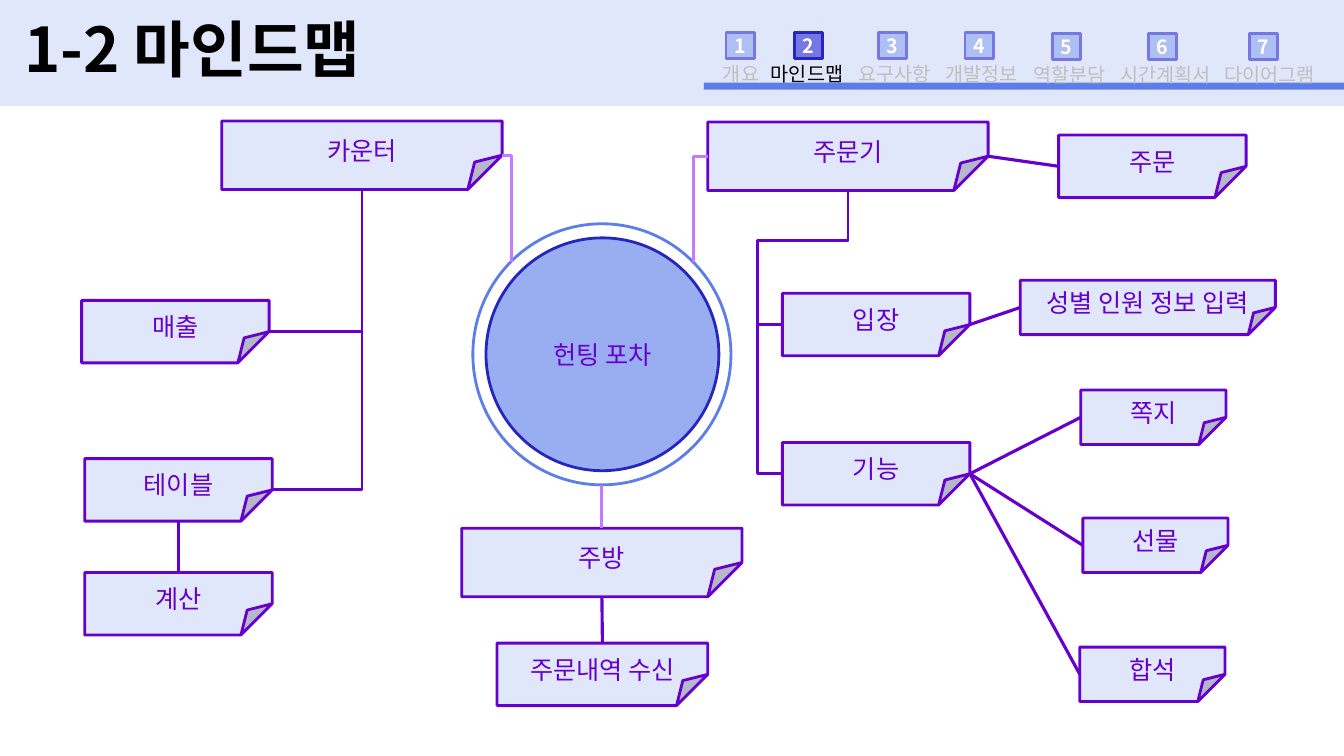
from pptx import Presentation
from pptx.dml.color import RGBColor
from pptx.enum.shapes import MSO_CONNECTOR as Link, MSO_SHAPE as Preset
from pptx.enum.text import MSO_ANCHOR as Anchor, PP_ALIGN as Align
from pptx.oxml.ns import qn
from pptx.util import Pt
from lxml import etree

PX = 9144  # 100 px to the inch
FONT = "Noto Sans CJK KR"
BLACK, WHITE = RGBColor(0, 0, 0), RGBColor(255, 255, 255)
PALE, SOFT = RGBColor(0xE1, 0xE7, 0xFB), RGBColor(0xAE, 0xBF, 0xF4)
SKY, BLUE = RGBColor(0x99, 0xAE, 0xF1), RGBColor(0x5D, 0x7E, 0xE9)
NAVY, IRIS = RGBColor(0x26, 0x26, 0xBF), RGBColor(0x77, 0x77, 0xE3)
PURPLE, VIOLET = RGBColor(0x66, 0, 0xCC), RGBColor(0xC5, 0x7B, 0xFD)
GRAY = RGBColor(0xBF, 0xBF, 0xBF)

# Content
TITLE = "1-2 마인드맵"
CENTER = "헌팅 포차"
ACTIVE_STEP = 2
STEPS = [  # label, label left, label width, number left, number top
    ("개요", 702, 66, 720, 32),
    ("마인드맵", 747, 107, 788, 32),
    ("요구사항", 834, 107, 871, 32),
    ("개발정보", 920, 107, 957, 32),
    ("역할분담", 1007, 107, 1044, 33),
    ("시간계획서", 1094, 124, 1139, 33),
    ("다이어그램", 1197, 124, 1239, 33),
]
BIG, MEDIUM, SMALL = (278, 68), (186, 62), (144, 54)
TOPICS = {  # label: left, top, (width, height)
    "카운터": (220, 120, BIG),
    "주문기": (702, 121, BIG),
    "주방": (458, 524, BIG),
    "매출": (81, 298, MEDIUM),
    "테이블": (84, 455, MEDIUM),
    "계산": (84, 568, MEDIUM),
    "주문": (1050, 134, MEDIUM),
    "입장": (776, 291, MEDIUM),
    "기능": (776, 439, MEDIUM),
    "주문내역 수신": (493, 638, (209, 62)),
    "성별 인원 정보 입력": (1012, 278, (253, 54)),
    "쪽지": (1072, 387, SMALL),
    "선물": (1074, 514, SMALL),
    "합석": (1071, 642, SMALL),
}
TOP, LEFT, BOTTOM, RIGHT = range(4)
STRAIGHT = [
    ("테이블", BOTTOM, "계산", TOP),
    ("주방", BOTTOM, "주문내역 수신", TOP),
    ("주문기", RIGHT, "주문", LEFT),
    ("입장", RIGHT, "성별 인원 정보 입력", LEFT),
    ("기능", RIGHT, "쪽지", LEFT),
    ("기능", RIGHT, "선물", LEFT),
    ("기능", RIGHT, "합석", LEFT),
]
RING = (469, 222, 256, 259)
DISC = (482, 236, 231, 231)
RING_LEFT, RING_RIGHT = (507, 260), (688, 260)  # where the bent links meet the ring
TRUNK_X, TRUNK_Y = 751, 239

prs = Presentation()
prs.slide_width, prs.slide_height = 1333 * PX, 750 * PX
slide = prs.slides.add_slide(prs.slide_layouts[6])
shapes = slide.shapes


def write(shape, text, size, color, bold=False, align=Align.CENTER, **frame_format):
    frame = shape.text_frame
    for key, value in {"word_wrap": True, "vertical_anchor": Anchor.MIDDLE, **frame_format}.items():
        setattr(frame, key, value)
    paragraph = frame.paragraphs[0]
    paragraph.alignment = align
    run = paragraph.add_run()
    run.text = text
    for key, value in {"name": FONT, "size": Pt(size), "bold": bold}.items():
        setattr(run.font, key, value)
    run.font.color.rgb = color
    for tag in ("a:ea", "a:cs"):
        etree.SubElement(run.font._element, qn(tag), typeface=FONT)


def reshape(shape, preset, **guides):
    """Set the preset geometry and its adjustments, given as shares of 1."""
    geometry = shape._element.spPr.find(qn("a:prstGeom"))
    geometry.set("prst", preset)
    for name, share in guides.items():
        etree.SubElement(geometry.find(qn("a:avLst")), qn("a:gd"),
                         name=name, fmla=f"val {round(share * 100000)}")


def draw(preset, box, fill=None, line=None):
    shape = shapes.add_shape(preset, *(n * PX for n in box))
    shape.shadow.inherit = False
    if fill is None:
        shape.fill.background()
    else:
        shape.fill.solid()
        shape.fill.fore_color.rgb = fill
    if line is None:
        shape.line.fill.background()
    else:
        shape.line.color.rgb = line
        shape.line.width = Pt(2)
    return shape


def connect(begin, end, color=PURPLE, width=2.25, kind=Link.STRAIGHT):
    link = shapes.add_connector(kind, *(round(n * PX) for n in (*begin, *end)))
    link.line.color.rgb = color
    link.line.width = Pt(width)
    etree.SubElement(link._element.spPr, qn("a:effectLst"))
    return link


def bend(begin, end, color=PURPLE, **guides):
    """Leave begin sideways and reach end vertically."""
    link = connect(begin, end, color, 2, Link.ELBOW)
    reshape(link, "bentConnector4" if guides else "bentConnector2", **guides)


def side(topic, site):
    left, top, (width, height) = TOPICS[topic]
    across, down = {TOP: (0.5, 0), LEFT: (0, 0.5), BOTTOM: (0.5, 1), RIGHT: (1, 0.5)}[site]
    return left + across * width, top + down * height


# Title band
band = draw(Preset.RECTANGLE, (0, 0, 1333, 105), PALE)
write(band, TITLE, 44, BLACK, True, Align.LEFT, margin_left=24 * PX)
band.text_frame.paragraphs[0].line_spacing = 0.9

# Central topic
write(draw(Preset.OVAL, DISC, SKY, NAVY), CENTER, 18, PURPLE)
draw(Preset.OVAL, RING, line=BLUE)

# Topic notes: the text starts so that its line sits at mid-height
notes = {}
for topic, (left, top, (width, height)) in TOPICS.items():
    note = draw(Preset.RECTANGLE, (left, top, width, height), PALE, PURPLE)
    reshape(note, "foldedCorner", adj=0.5)
    write(note, topic, 18, PURPLE, vertical_anchor=Anchor.TOP,
          margin_top=(height // 2 - 20) * PX, margin_bottom=0)
    notes[topic] = note

# Straight links
for source, source_site, target, target_site in STRAIGHT:
    link = connect(side(source, source_site), side(target, target_site))
    link.begin_connect(notes[source], source_site)
    link.end_connect(notes[target], target_site)
ring_bottom = (RING[0] + RING[2] / 2, RING[1] + RING[3])
connect(ring_bottom, side("주방", TOP), VIOLET).end_connect(notes["주방"], TOP)

# Bent links
bend(side("카운터", RIGHT), RING_LEFT, VIOLET)
bend(side("주문기", LEFT), RING_RIGHT, VIOLET)
for topic in ("매출", "테이블"):
    bend(side(topic, RIGHT), side("카운터", BOTTOM))
for topic in ("입장", "기능"):
    (x, y), (end_x, end_y) = side(topic, LEFT), side("주문기", BOTTOM)
    bend((x, y), (end_x, end_y),
         adj1=(TRUNK_X - x) / (end_x - x), adj2=(TRUNK_Y - y) / (end_y - y))

# Step navigation
draw(Preset.RECTANGLE, (698, 82, 635, 7), BLUE)
for number, (label, label_left, label_width, left, top) in enumerate(STEPS, 1):
    active = number == ACTIVE_STEP
    fill, line, color = (IRIS, NAVY, BLACK) if active else (SOFT, IRIS, GRAY)
    square = draw(Preset.RECTANGLE, (left, top, 28, 26), fill, line)
    write(square, str(number), 14, WHITE, True,
          margin_left=0, margin_right=0, margin_top=0, margin_bottom=0)
    caption = shapes.add_textbox(*(n * PX for n in (label_left, top + 24, label_width, 34)))
    write(caption, label, 14, color)

prs.save("out.pptx")
